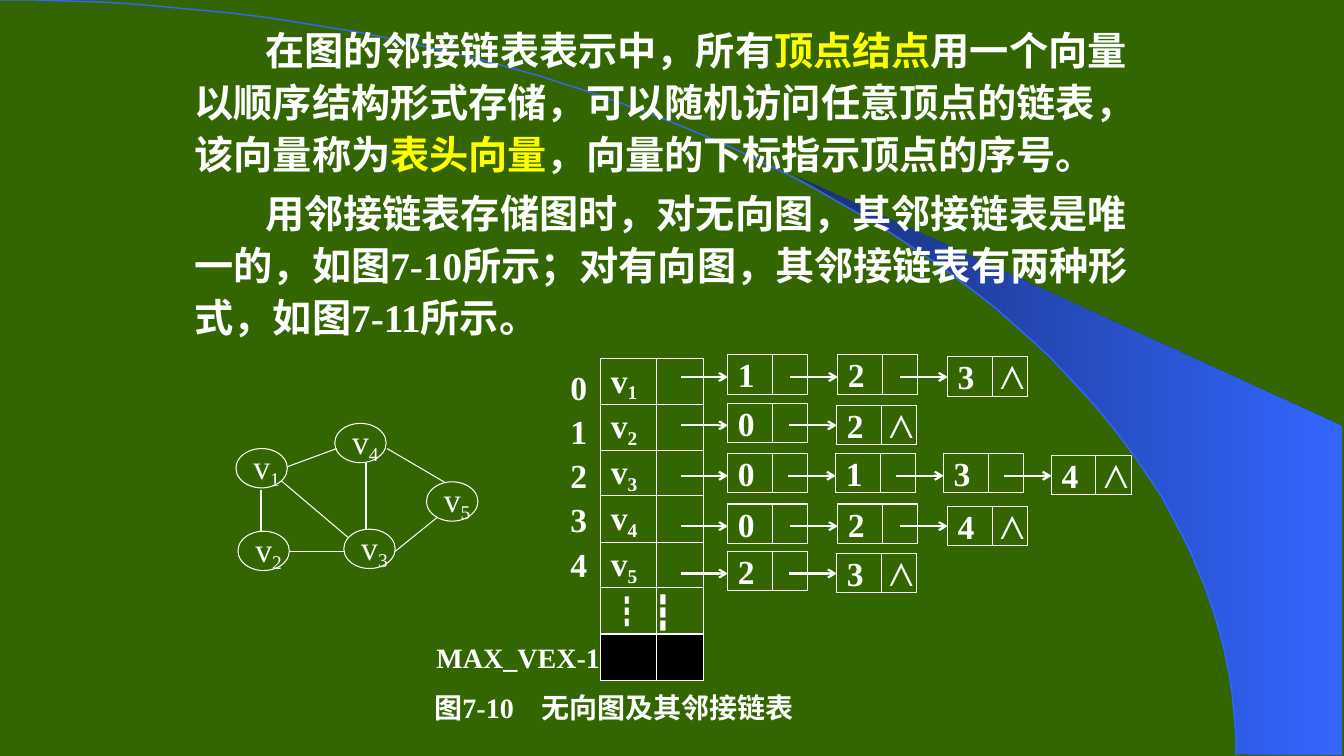
from lxml.etree import SubElement
from pptx import Presentation
from pptx.dml.color import RGBColor
from pptx.enum.shapes import MSO_CONNECTOR as Conn, MSO_SHAPE as Kind
from pptx.enum.text import MSO_ANCHOR as Anchor, MSO_AUTO_SIZE as Fit, PP_ALIGN as Align
from pptx.oxml.ns import qn
from pptx.util import Pt

PX = 9144
WHITE = RGBColor(255, 255, 255)
YELLOW = RGBColor(255, 255, 0)
GREEN = RGBColor(0x33, 0x66, 0)
BLUE = RGBColor(0x33, 0x66, 255)
NAVY = RGBColor(0x18, 0x2F, 0x76)
BLACK = RGBColor(0, 0, 0)
LATIN, HAN = "Times New Roman", "Noto Sans CJK SC"

SAIL = [(1227, 748), (1331, 749), (1331, 423), (786, 173), (832, 199), (870, 222),
        (913, 250), (955, 280), (1016, 330), (1070, 384), (1110, 431), (1144, 479),
        (1171, 528), (1191, 572), (1204, 609), (1217, 656), (1223, 696)]
PROSE = [
    [("在图的邻接链表表示中，所有", WHITE), ("顶点结点", YELLOW),
     ("用一个向量 以顺序结构形式存储，可以随机访问任意顶点的链表，该向量称为", WHITE),
     ("表头向量", YELLOW), ("，向量的下标指示顶点的序号。", WHITE)],
    [("用邻接链表存储图时，对无向图，其邻接链表是唯一的，如图7-10所示；"
      "对有向图，其邻接链表有两种形式，如图7-11所示。", WHITE)],
]
NODES = [(0, 25), (2, 107), (107, 105), (98, 0), (189, 58)]
EDGES = [(25, 66, 25, 108, 1.5), (129, 39, 129, 106, 1.5), (45, 57, 111, 113, .75),
         (51, 43, 100, 25, .75), (53, 127, 108, 127, .75), (150, 25, 208, 59, .75),
         (158, 127, 200, 93, .75)]
CHAINS = [(352, 109, "123"), (400, 108, "02"), (450, 107, "0134"),
          (500, 109, "024"), (547, 108, "23")]


def write(para, text, size=24, bold=True, color=WHITE, base=0, face=LATIN):
    """Add one formatted run to a paragraph."""
    run = para.add_run()
    run.text = text
    font = run.font
    font.size, font.bold, font.name = Pt(size), bold, face
    font.color.rgb = color
    props = font._element
    if base:
        props.set("baseline", str(base * 1000))
    SubElement(props, qn("a:ea")).set("typeface", HAN)


def stop(para, pos):
    """Set one left tab stop on a paragraph."""
    tabs = SubElement(para._p.get_or_add_pPr(), qn("a:tabLst"))
    tab = SubElement(tabs, qn("a:tab"))
    tab.set("pos", str(pos * PX))
    tab.set("algn", "l")


def ready(shape):
    """Prepare a frame for unwrapped left text and return its paragraph."""
    frame = shape.text_frame
    frame.word_wrap = False
    frame.margin_right = 0
    frame.vertical_anchor = Anchor.MIDDLE
    para = frame.paragraphs[0]
    para.alignment = Align.LEFT
    return para


def label(slide, x, y, w, h):
    """Add a text box and return its first paragraph."""
    return ready(slide.shapes.add_textbox(x * PX, y * PX, w * PX, h * PX))


def shape(slide, kind, x, y, w, h, fill=None):
    """Add an outlined shape and return its first paragraph."""
    item = slide.shapes.add_shape(kind, x * PX, y * PX, w * PX, h * PX)
    item.shadow.inherit = False
    if fill is None:
        item.fill.background()
    else:
        item.fill.solid()
        item.fill.fore_color.rgb = fill
    item.line.color.rgb, item.line.width = WHITE, Pt(.75)
    return ready(item)


def line(slide, x, y, to_x, to_y, width=.75, arrow=False):
    """Draw a white line, with an arrowhead on request."""
    item = slide.shapes.add_connector(Conn.STRAIGHT, x * PX, y * PX, to_x * PX, to_y * PX)
    item.line.color.rgb, item.line.width = WHITE, Pt(width)
    if arrow:
        SubElement(item.line._get_or_add_ln(), qn("a:tailEnd")).set("type", "arrow")
    SubElement(item._element.spPr, qn("a:effectLst"))


def cell(slide, x, y, w, h, split, fill=None):
    """Draw a box with a divider and return its paragraph."""
    para = shape(slide, Kind.RECTANGLE, x, y, w, h, fill)
    line(slide, x + split, y, x + split, y + h)
    return para


def outline(slide, points, close):
    """Draw a freeform through the points."""
    path = slide.shapes.build_freeform(*points[0], scale=PX)
    path.add_line_segments(points[1:], close=close)
    item = path.convert_to_shape()
    item.shadow.inherit = False
    return item


def backdrop(slide, w, h):
    """Paint the green ground, the blue sail and the arc."""
    slide.background.fill.solid()
    slide.background.fill.fore_color.rgb = GREEN
    sail = outline(slide, SAIL, True)
    sail.line.fill.background()
    sail.fill.gradient()
    sail.fill.gradient_angle = 0
    for mark, color, pos in zip(sail.fill.gradient_stops, (NAVY, BLUE), (0, 1)):
        mark.color.rgb, mark.position = color, pos
    curve = []
    for i in range(61):
        t = i / 60
        u = 1 - t
        curve.append((w * (3 * u * u * t * .55 + 3 * u * t * t + t ** 3),
                      h * (3 * u * t * t * .45 + t ** 3)))
    arc = outline(slide, curve, False)
    arc.fill.background()
    arc.line.color.rgb, arc.line.width = BLUE, Pt(1)


def prose(slide, x, y, w, h):
    """Fill the body placeholder with the two paragraphs."""
    title, body = slide.shapes.title, slide.placeholders[1]
    title._element.getparent().remove(title._element)
    slide.shapes._spTree.append(body._element)
    body.left, body.top, body.width, body.height = x * PX, y * PX, w * PX, h * PX
    frame = body.text_frame
    frame.word_wrap, frame.auto_size = True, Fit.NONE
    frame.vertical_anchor = Anchor.TOP
    for i, runs in enumerate(PROSE):
        para = frame.add_paragraph() if i else frame.paragraphs[0]
        para.alignment, para.line_spacing = Align.LEFT, Pt(37.2)
        para.space_before = Pt(5 if i else 0)
        props = para._p.get_or_add_pPr()
        props.set("marL", "0")
        props.set("indent", str(70 * PX))
        SubElement(props, qn("a:buNone"))
        for text, color in runs:
            write(para, text, size=28, color=color)


def graph(slide, x, y):
    """Draw the undirected graph."""
    for i, (dx, dy) in enumerate(NODES, 1):
        para = shape(slide, Kind.OVAL, x + dx, y + dy, 51, 39)
        write(para, "v", bold=False)
        write(para, str(i), bold=False, base=-20)
    for ax, ay, bx, by, width in EDGES:
        line(slide, x + ax, y + ay, x + bx, y + by, width)


def heads(slide, x, y, w, h):
    """Draw the header vector with its indices."""
    tops = [y + i * h // 7 for i in range(8)]
    for i, (top, low) in enumerate(zip(tops, tops[1:])):
        para = cell(slide, x, top, w, low - top, 55, BLACK if i == 6 else None)
        if i < 5:
            write(para, "v")
            write(para, str(i + 1), base=-20)
        elif i == 5:
            write(para, "┇", face=HAN)
            write(para, " ┇")
    para = label(slide, x - 40, y - 2, 39, 231)
    for i in range(5):
        if i:
            para = para._parent.add_paragraph()
        para.alignment, para.line_spacing = Align.LEFT, Pt(31.6)
        write(para, str(i))
    write(label(slide, x - 173, y + 277, 185, 39), "MAX_VEX-1", size=20)


def chain(slide, x, y, step, keys):
    """Draw one linked list, its last node closed by a null mark."""
    for i, key in enumerate(keys):
        left, last = x + i * step, i == len(keys) - 1
        para = cell(slide, left, y + 2 * last, 79, 39, 44)
        if last:
            stop(para, 42)
        write(para, key + "\t" * last)
        if last:
            write(para, "⋀", bold=False)
        line(slide, left - 47, y + 22, left, y + 22, 1.5, True)


def main():
    """Build and save the slide."""
    deck = Presentation()
    deck.slide_width, deck.slide_height = 1333 * PX, 750 * PX
    slide = deck.slides.add_slide(deck.slide_layouts[1])
    backdrop(slide, 1226, 749)
    prose(slide, 183, 16, 967, 335)
    graph(slide, 234, 420)
    heads(slide, 596, 356, 102, 319)
    for top, step, keys in CHAINS:
        chain(slide, 722, top, step, keys)
    note = label(slide, 421, 684, 400, 35)
    stop(note, 106)
    write(note, "图7-10\t无向图及其邻接链表", size=20)
    deck.save("out.pptx")


if __name__ == "__main__":
    main()
